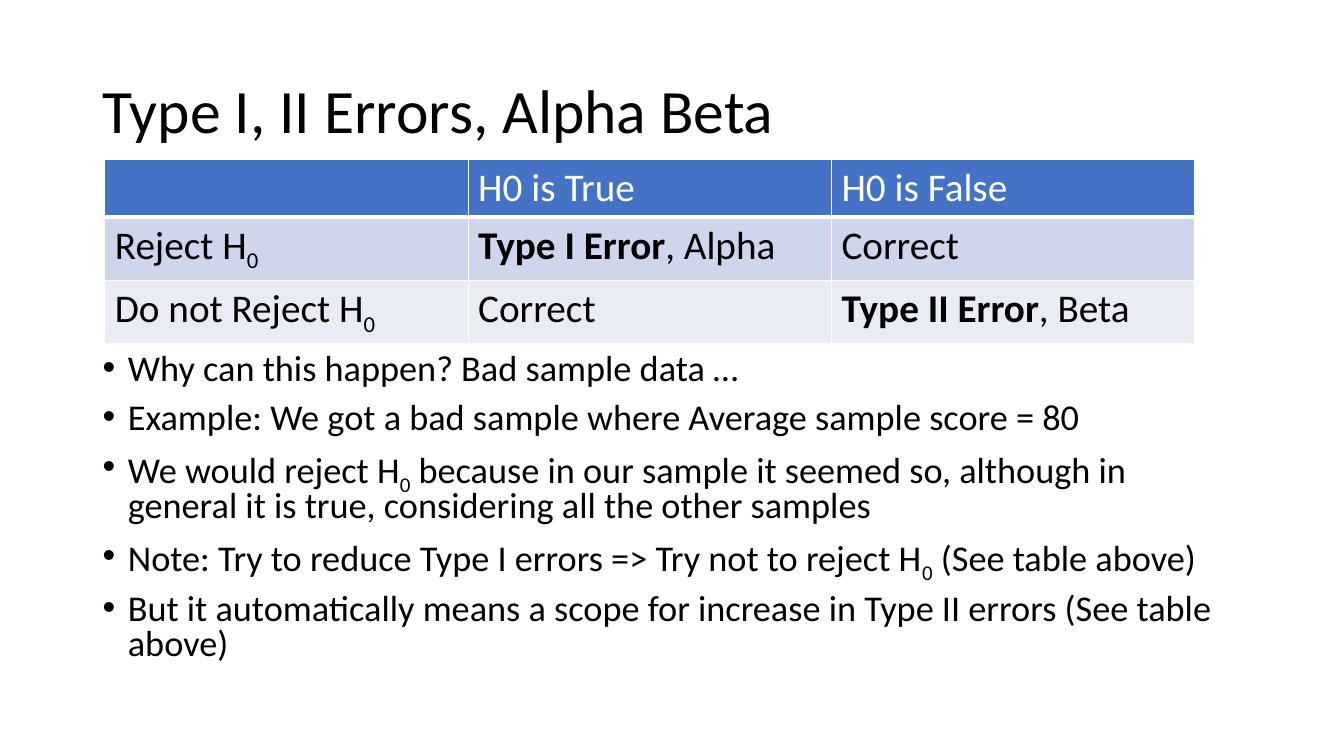
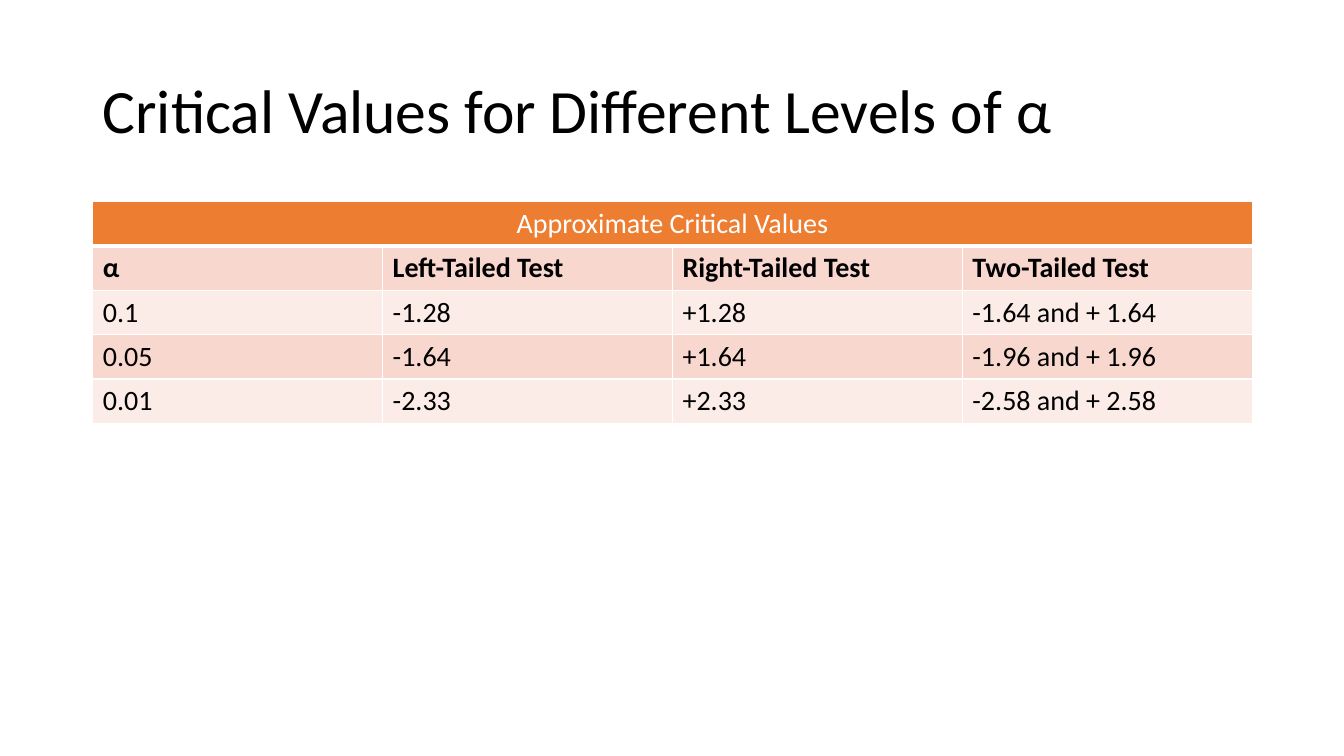
"""Build two slides on hypothesis-test errors and critical values."""
from lxml.etree import SubElement
from pptx import Presentation
from pptx.dml.color import RGBColor
from pptx.enum.text import MSO_ANCHOR, PP_ALIGN
from pptx.oxml.ns import qn
from pptx.util import Inches, Pt

COLORS = {
    "text": "000000",
    "white": "FFFFFF",
    "blue": ("4472C4", "CFD5EA", "E9EBF5"),
    "orange": ("ED7D31", "F8D7CE", "FCECE8"),
}
FONT = "Calibri"
LEFT, WIDTH = 0.92, 11.5
TITLE_FORMAT = {"line_spacing": 0.9}
BULLET_FORMAT = {"line_spacing": 0.8, "space_before": Pt(10)}
BULLET_INDENT = Inches(0.25)
H_ZERO = ("0", "subscript")

ERROR_ROWS = [
    ["", "H0 is True", "H0 is False"],
    [["Reject H", H_ZERO], [("Type I Error", "bold"), ", Alpha"], "Correct"],
    [["Do not Reject H", H_ZERO], "Correct", [("Type II Error", "bold"), ", Beta"]],
]
ERROR_BULLETS = [
    "Why can this happen? Bad sample data …",
    "Example: We got a bad sample where Average sample score = 80",
    ["We would reject H", H_ZERO, " because in our sample it seemed so, although in "
     "general it is true, considering all the other samples"],
    ["Note: Try to reduce Type I errors => Try not to reject H", H_ZERO,
     " (See table above)"],
    "But it automatically means a scope for increase in Type II errors (See table above)",
]
TEST_NAMES = ["α", "Left-Tailed Test", "Right-Tailed Test", "Two-Tailed Test"]
CRITICAL_ROWS = [
    ["Approximate Critical Values"],
    [[(name, "bold")] for name in TEST_NAMES],
    ["0.1", "-1.28", "+1.28", "-1.64 and + 1.64"],
    ["0.05", "-1.64", "+1.64", "-1.96 and + 1.96"],
    ["0.01", "-2.33", "+2.33", "-2.58 and + 2.58"],
]


def set_values(target, values):
    for name, value in values.items():
        setattr(target, name, value)


def write_runs(paragraph, content, size, color=COLORS["text"]):
    for part in [content] if isinstance(content, str) else content:
        text, style = (part, "plain") if isinstance(part, str) else part
        if not text:
            continue
        run = paragraph.add_run()
        run.text = text
        set_values(run.font, {"name": FONT, "size": Pt(size), "bold": style == "bold"})
        run.font.color.rgb = RGBColor.from_string(color)
        if style == "subscript":
            run.font._element.set("baseline", "-25000")


def add_text_frame(slide, top, height, anchor):
    box = slide.shapes.add_textbox(
        Inches(LEFT), Inches(top), Inches(WIDTH), Inches(height))
    set_values(box.text_frame, {"word_wrap": True, "vertical_anchor": anchor})
    return box.text_frame


def add_title(slide, text):
    paragraph = add_text_frame(slide, 0.4, 1.45, MSO_ANCHOR.MIDDLE).paragraphs[0]
    set_values(paragraph, TITLE_FORMAT)
    write_runs(paragraph, text, 44)


def add_bullets(slide, items, top, height, size):
    frame = add_text_frame(slide, top, height, MSO_ANCHOR.TOP)
    for index, item in enumerate(items):
        paragraph = frame.add_paragraph() if index else frame.paragraphs[0]
        set_values(paragraph, BULLET_FORMAT)
        properties = paragraph._p.get_or_add_pPr()
        properties.set("marL", str(BULLET_INDENT))
        properties.set("indent", str(-BULLET_INDENT))
        SubElement(properties, qn("a:buFont"), typeface="Arial")
        SubElement(properties, qn("a:buChar"), char="•")
        write_runs(paragraph, item, size)


def set_borders(cell, bottom_width):
    properties = cell._tc.get_or_add_tcPr()
    for side, width in {"L": 1, "R": 1, "T": 1, "B": bottom_width}.items():
        line = SubElement(properties, qn(f"a:ln{side}"), w=str(Pt(width)))
        fill = SubElement(line, qn("a:solidFill"))
        SubElement(fill, qn("a:srgbClr"), val=COLORS["white"])


def add_table(slide, rows, box, row_heights, size, palette):
    column_count = len(rows[-1])
    left, top, width = box
    table = slide.shapes.add_table(
        len(rows), column_count, Inches(left), Inches(top),
        Inches(width), Inches(sum(row_heights))).table
    header_fill, *bands = COLORS[palette]
    for row_index, (values, height) in enumerate(zip(rows, row_heights)):
        is_header = row_index == 0
        table.rows[row_index].height = Inches(height)
        fill = header_fill if is_header else bands[(row_index - 1) % 2]
        for column in range(column_count):
            cell = table.cell(row_index, column)
            set_borders(cell, 3 if is_header else 1)
            cell.fill.solid()
            cell.fill.fore_color.rgb = RGBColor.from_string(fill)
        if len(values) == 1:
            first = table.cell(row_index, 0)
            first.merge(table.cell(row_index, column_count - 1))
            first.text_frame.paragraphs[0].alignment = PP_ALIGN.CENTER
        color = COLORS["white" if is_header else "text"]
        for column, value in enumerate(values):
            paragraph = table.cell(row_index, column).text_frame.paragraphs[0]
            write_runs(paragraph, value, size, color)


def add_slide(presentation, title):
    slide = presentation.slides.add_slide(presentation.slide_layouts[6])
    add_title(slide, title)
    return slide


def main():
    presentation = Presentation()
    set_values(presentation, {"slide_width": Inches(13.33), "slide_height": Inches(7.5)})

    errors = add_slide(presentation, "Type I, II Errors, Alpha Beta")
    add_bullets(errors, ERROR_BULLETS, 3.46, 3.3, 25.9)
    add_table(errors, ERROR_ROWS, (1.04, 1.58, 10.81), [0.57, 0.63, 0.63], 28, "blue")

    critical = add_slide(presentation, "Critical Values for Different Levels of α")
    add_table(critical, CRITICAL_ROWS, (LEFT, 2, WIDTH), [0.44] * 5, 20, "orange")

    presentation.save("out.pptx")


if __name__ == "__main__":
    main()
